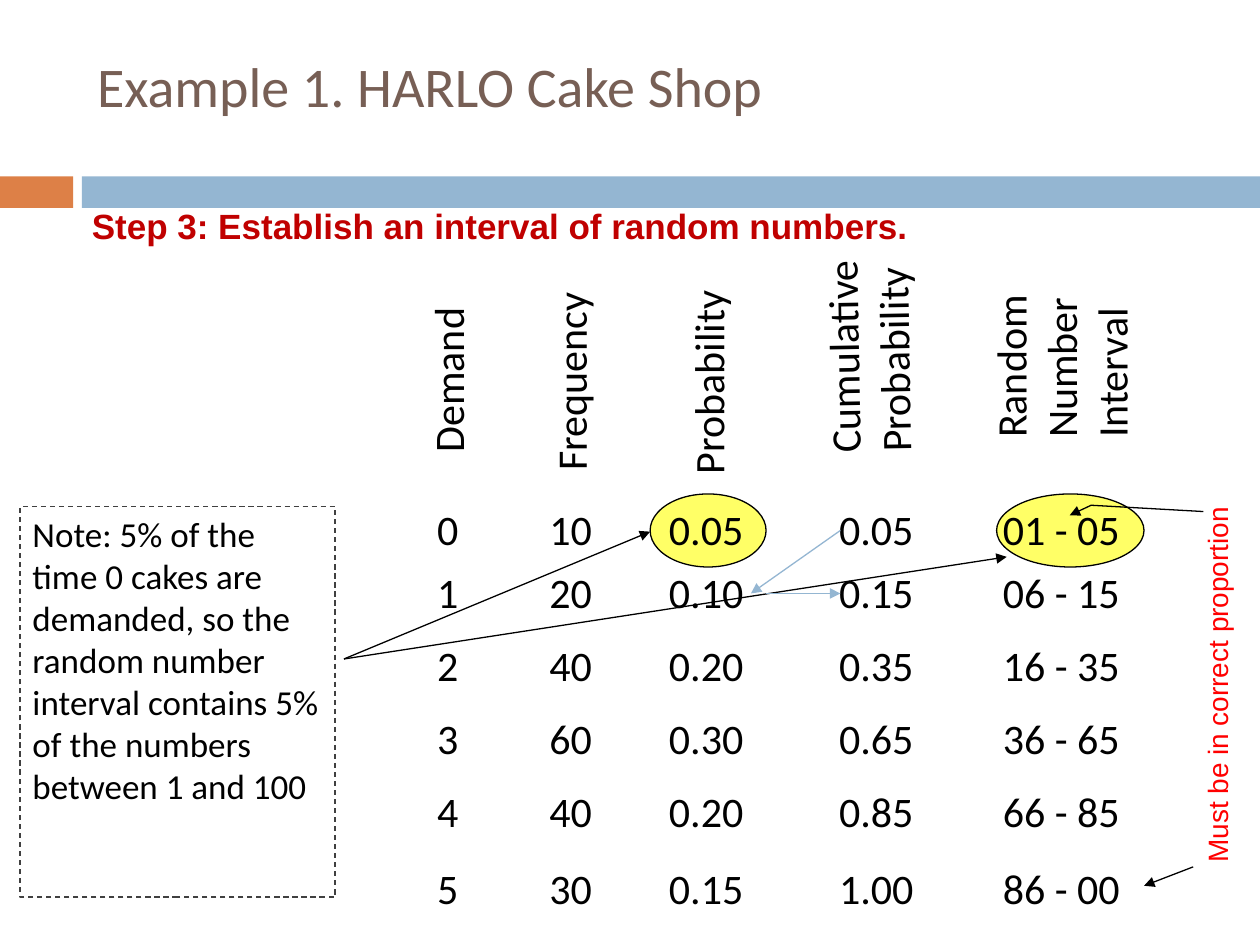
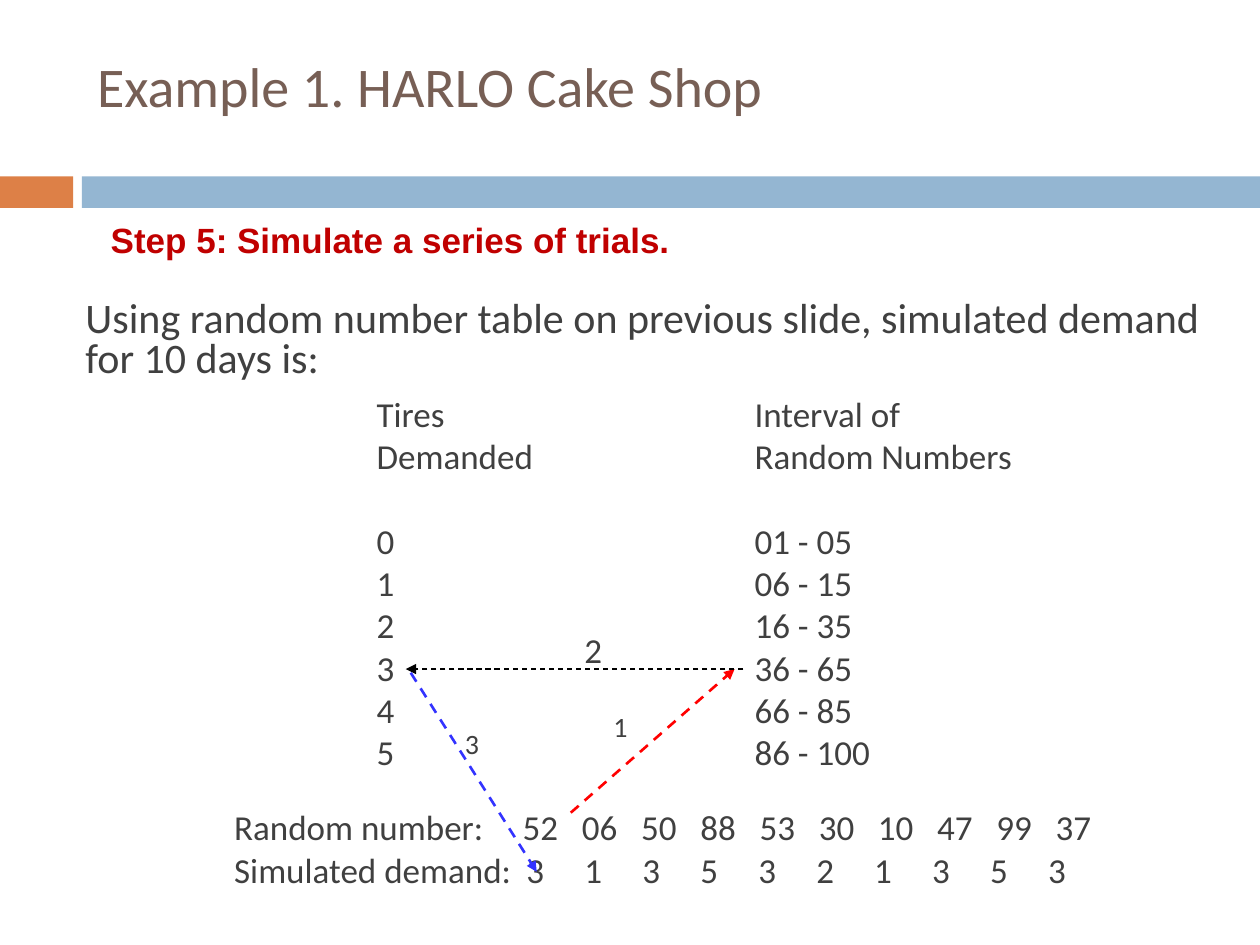
from itertools import pairwise

from lxml import etree
from pptx import Presentation
from pptx import util as u
from pptx.dml.color import RGBColor
from pptx.enum import dml, shapes, text
from pptx.oxml.ns import qn

BLACK = RGBColor(0x00, 0x00, 0x00)
GREY = RGBColor(0x40, 0x40, 0x40)
BROWN = RGBColor(0x77, 0x5F, 0x55)
ORANGE = RGBColor(0xDD, 0x80, 0x47)
SKY = RGBColor(0x94, 0xB6, 0xD2)
YELLOW = RGBColor(0xFF, 0xFF, 0x66)
CRIMSON = RGBColor(0xC0, 0x00, 0x00)
RED = RGBColor(0xFF, 0x00, 0x00)
BLUE = RGBColor(0x33, 0x33, 0xFF)

WIDTH, HEIGHT = 10, 7.5
INSET = (0.1, 0.05)
NO_GRID_STYLE = "{2D5ABB26-0587-4C30-8999-92F81FD0307C}"

TITLE = "Example 1. HARLO Cake Shop"
TITLE_BOX = (0.67, 0.23, 9, 1.02)
BANDS = [((0, 1.4, 0.58, 0.25), ORANGE), ((0.65, 1.4, 9.35, 0.25), SKY)]

TITLE_FONT = dict(name="Calibri", size=u.Pt(32), color=BROWN)
STEP_FONT = dict(name="Arial", size=u.Pt(20), color=CRIMSON, bold=True)
TABLE_FONT = dict(name="Calibri", size=u.Pt(24), color=BLACK)
NOTE_FONT = dict(name="Calibri", size=u.Pt(20), color=BLACK)
REMARK_FONT = dict(name="Arial", size=u.Pt(16), color=RED)
LEAD_FONT = dict(name="Calibri", size=u.Pt(24), color=GREY)
BODY_FONT = dict(name="Calibri", size=u.Pt(20), color=GREY)
SMALL_FONT = dict(name="Calibri", size=u.Pt(16), color=GREY)
TIGHT = dict(line_spacing=0.8, space_before=u.Pt(5))

# Step 3: demand table
INTERVAL_STEP = "Step 3: Establish an interval of random numbers."
HEADINGS = [  # text, box, rotation, wraps
    ("Demand", (2.88, 2.72, 1.34, 0.4), 270, False),
    ("Frequency", (3.71, 2.72, 1.63, 0.4), 270, False),
    ("Probability", (4.77, 2.72, 1.69, 0.4), 270, False),
    ("Cumulative Probability", (6.45, 1.95, 1.67, 1.6), 269, True),
    ("Random Number Interval", (7.64, 2.1, 1.55, 1.2), 270, True),
]
DEMAND_ROWS = [
    ("0", "10", "0.05", "0.05", "01 - 05"),
    ("1", "20", "0.10", "0.15", "06 - 15"),
    ("2", "40", "0.20", "0.35", "16 - 35"),
    ("3", "60", "0.30", "0.65", "36 - 65"),
    ("4", "40", "0.20", "0.85", "66 - 85"),
    ("5", "30", "0.15", "1.00", "86 - 00"),
]
COLUMN_EDGES = [3.47, 4.36, 5.31, 6.66, 7.96, 9.06]
ROW_EDGES = [4.01, 4.51, 5.09, 5.67, 6.25, 6.86, 7.26]
HIGHLIGHTS = [(7.91, 3.92, 1.17, 0.58), (5.16, 3.92, 0.92, 0.58)]
NOTE = ("Note: 5% of the time 0 cakes are demanded, so the random number "
        "interval contains 5% of the numbers between 1 and 100")
REMARK = "Must be in correct proportion"
NOTE_ORIGIN = (2.73, 5.23)
REMARK_BEND = (8.66, 4.01)
INTERVAL_LINES = [  # start, end, format
    (REMARK_BEND, (9.55, 4.06), dict(arrow=False)),
    ((9.47, 6.88), (9.08, 7.03), {}),
    (REMARK_BEND, (8.49, 4.09), {}),
    (NOTE_ORIGIN, (5.16, 4.22), {}),
    (NOTE_ORIGIN, (7.99, 4.42), {}),
    ((6.67, 4.21), (5.96, 4.71), dict(color=SKY)),
    ((6.08, 4.71), (6.67, 4.71), dict(color=SKY)),
]

# Step 5: trials
TRIALS_STEP = "Step 5: Simulate a series of trials."
LEAD = ("Using random number table on previous slide, "
        "simulated demand for 10 days is:")
LOOKUP_ROWS = [
    ("Tires", "Interval of"),
    ("Demanded", "Random Numbers"),
    ("0", "01 - 05"),
    ("1", "06 - 15"),
    ("2", "16 - 35"),
    ("3", "36 - 65"),
    ("4", "66 - 85"),
    ("5", "86 - 100"),
]
LOOKUP_FIRST_VALUE = 2
TRIALS = [  # label, values, first tab, tab step
    ("Random number:", "52 06 50 88 53 30 10 47 99 37", 2.29, 0.47),
    ("Simulated demand:", "3 1 3 5 3 2 1 3 5 3", 2.32, 0.46),
]
TRIAL_LINES = [
    ((4.53, 6.45), (5.83, 5.31), dict(color=RED, weight=1.5, dash=True)),
    ((5.9, 5.31), (3.22, 5.31), dict(dash=True)),
    ((3.26, 5.34), (4.26, 6.92), dict(color=BLUE, weight=1.5, dash=True)),
]
ARROW_LABELS = [
    ("1", (4.77, 5.63, 0.32, 0.32), SMALL_FONT),
    ("2", (4.54, 5, 0.46, 0.37), BODY_FONT),
    ("3", (3.59, 5.77, 0.32, 0.32), SMALL_FONT),
]


def inches(values):
    return [u.Inches(value) for value in values]


def apply(target, values):
    for name, value in values.items():
        setattr(target, name, value)


def write(paragraph, words, font, spacing=None, tabs=()):
    if tabs:
        tab_list = etree.SubElement(paragraph._p.get_or_add_pPr(), qn("a:tabLst"))
        for position in tabs:
            etree.SubElement(tab_list, qn("a:tab"), pos=str(u.Inches(position)), algn="l")
    paragraph.alignment = text.PP_ALIGN.LEFT
    apply(paragraph, spacing or {})
    run = paragraph.add_run()
    run.text = words
    for name, value in font.items():
        if name == "color":
            run.font.color.rgb = value
        else:
            setattr(run.font, name, value)


def format_frame(frame, inset=INSET, wrap=True, anchor=text.MSO_ANCHOR.TOP):
    side, end = inches(inset)
    apply(frame, dict(margin_left=side, margin_right=side, margin_top=end,
                      margin_bottom=end, word_wrap=wrap, vertical_anchor=anchor,
                      auto_size=text.MSO_AUTO_SIZE.NONE))


def add_text(slide, box, lines, font, rotation=0, spacing=None, **frame_format):
    """Add a text box; each line is (words, tab stops, extra spacing)."""
    shape = slide.shapes.add_textbox(*inches(box))
    shape.rotation = rotation
    frame = shape.text_frame
    format_frame(frame, **frame_format)
    if isinstance(lines, str):
        lines = [(lines, (), {})]
    for index, (words, tabs, extra) in enumerate(lines):
        paragraph = frame.add_paragraph() if index else frame.paragraphs[0]
        values = {**(spacing or {}), **extra}
        if not index:
            values.pop("space_before", None)
        write(paragraph, words, font, values, tabs)
    return shape


def add_box(slide, kind, box, fill=None, line=None):
    shape = slide.shapes.add_shape(kind, *inches(box))
    shape.shadow.inherit = False
    if fill is None:
        shape.fill.background()
    else:
        shape.fill.solid()
        shape.fill.fore_color.rgb = fill
    if line is None:
        shape.line.fill.background()
    else:
        shape.line.color.rgb = line
        shape.line.width = u.Pt(0.75)
    return shape


def add_line(slide, start, end, color=BLACK, weight=0.75, dash=False, arrow=True):
    connector = slide.shapes.add_connector(
        shapes.MSO_CONNECTOR.STRAIGHT, *inches(start + end))
    connector.line.color.rgb = color
    connector.line.width = u.Pt(weight)
    if dash:
        connector.line.dash_style = dml.MSO_LINE.DASH
    if arrow:
        etree.SubElement(connector.line._get_or_add_ln(), qn("a:tailEnd"), type="triangle")
    etree.SubElement(connector._element.spPr, qn("a:effectLst"))


def add_slide(presentation):
    """Add a slide with the shared bands and title."""
    slide = presentation.slides.add_slide(presentation.slide_layouts[5])
    for box, color in BANDS:
        add_box(slide, shapes.MSO_SHAPE.RECTANGLE, box, color)
    title = slide.shapes.title
    apply(title, dict(zip(("left", "top", "width", "height"), inches(TITLE_BOX))))
    format_frame(title.text_frame, anchor=text.MSO_ANCHOR.MIDDLE)
    write(title.text_frame.paragraphs[0], TITLE, TITLE_FONT, dict(line_spacing=0.7))
    return slide


def add_demand_table(slide):
    left, top = COLUMN_EDGES[0], ROW_EDGES[0]
    size = (COLUMN_EDGES[-1] - left, ROW_EDGES[-1] - top)
    table = slide.shapes.add_table(len(DEMAND_ROWS), len(HEADINGS),
                                   *inches((left, top) + size)).table
    apply(table, dict(first_row=False, horz_banding=False))
    table._tbl.tblPr.find(qn("a:tableStyleId")).text = NO_GRID_STYLE
    for column, (start, end) in zip(table.columns, pairwise(COLUMN_EDGES)):
        column.width = u.Inches(end - start)
    for row, (start, end), values in zip(table.rows, pairwise(ROW_EDGES), DEMAND_ROWS):
        row.height = u.Inches(end - start)
        for cell, value in zip(row.cells, values):
            cell.fill.background()
            apply(cell, dict(margin_left=0, margin_right=0, margin_top=0, margin_bottom=0))
            write(cell.text_frame.paragraphs[0], value, TABLE_FONT)


def build_interval_slide(presentation):
    slide = add_slide(presentation)
    for box in HIGHLIGHTS:
        add_box(slide, shapes.MSO_SHAPE.OVAL, box, YELLOW, BLACK)
    for words, box, rotation, wrap in HEADINGS:
        add_text(slide, box, words, TABLE_FONT, rotation, inset=(0, 0), wrap=wrap)
    add_demand_table(slide)
    add_text(slide, (0.63, 1.57, 6.68, 0.77), INTERVAL_STEP, STEP_FONT)
    add_text(slide, (8.15, 5.25, 3.02, 0.37), REMARK, REMARK_FONT, 270, wrap=False)
    note = add_box(slide, shapes.MSO_SHAPE.RECTANGLE, (0.16, 4.02, 2.5, 3.1), line=GREY)
    note.line.dash_style = dml.MSO_LINE.DASH
    format_frame(note.text_frame)
    write(note.text_frame.paragraphs[0], NOTE, NOTE_FONT)
    for start, end, line_format in INTERVAL_LINES:
        add_line(slide, start, end, **line_format)


def build_trials_slide(presentation):
    slide = add_slide(presentation)
    add_text(slide, (0.78, 1.75, 6.68, 0.37), TRIALS_STEP, STEP_FONT, spacing=TIGHT)
    add_text(slide, (0.58, 2.34, 9.18, 1.15), LEAD, LEAD_FONT, spacing=TIGHT)
    trials = [("\t".join([label, *values.split()]),
               [first + step * index for index in range(len(values.split()))], {})
              for label, values, first, step in TRIALS]
    add_text(slide, (1.76, 6.41, 7.99, 0.71), trials, BODY_FONT, spacing=TIGHT)
    lookup = [("\t".join(row), [3],
               dict(space_before=u.Pt(29)) if index == LOOKUP_FIRST_VALUE else {})
              for index, row in enumerate(LOOKUP_ROWS)]
    add_text(slide, (2.89, 3.13, 6.72, 3.06), lookup, BODY_FONT, spacing=TIGHT)
    for start, end, line_format in TRIAL_LINES:
        add_line(slide, start, end, **line_format)
    for words, box, font in ARROW_LABELS:
        add_text(slide, box, words, font, spacing=TIGHT)


def main():
    presentation = Presentation()
    presentation.slide_width, presentation.slide_height = inches((WIDTH, HEIGHT))
    build_interval_slide(presentation)
    build_trials_slide(presentation)
    presentation.save("out.pptx")


if __name__ == "__main__":
    main()
